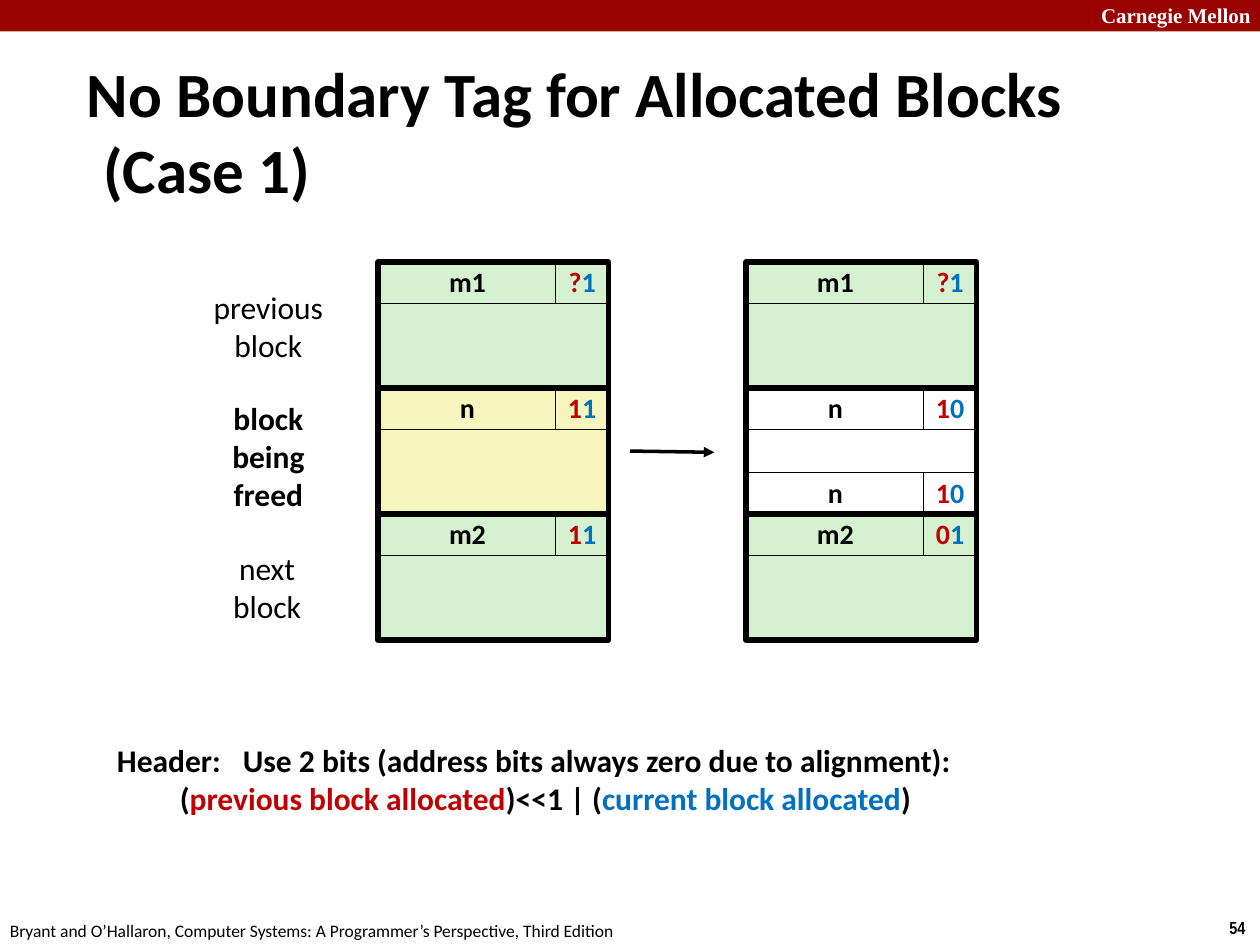
from pptx import Presentation
from pptx.dml.color import RGBColor
from pptx.enum.shapes import MSO_CONNECTOR, MSO_SHAPE
from pptx.enum.text import MSO_ANCHOR, MSO_AUTO_SIZE, PP_ALIGN
from pptx.oxml.ns import qn
from pptx.util import Inches, Pt
from lxml import etree

RECT = MSO_SHAPE.RECTANGLE
STRAIGHT = MSO_CONNECTOR.STRAIGHT
MIDDLE = MSO_ANCHOR.MIDDLE
NO_FIT = MSO_AUTO_SIZE.NONE
LEFT, CENTER = PP_ALIGN.LEFT, PP_ALIGN.CENTER

THEME = {
    "black": "000000", "white": "FFFFFF", "banner": "990000",
    "prev": "C00000", "current": "0070C0",
    "allocated": "D5F1CF", "freeing": "F6F5BD",
    "font": "Calibri", "banner_font": "Times New Roman", "number_font": "Arial Narrow",
    "title": 36, "body": 18, "cell": 16, "banner_size": 12, "footer": 10,
    "thin": 0.25, "arrow": 2, "thick": 3,
}

TITLE = "No Boundary Tag for Allocated Blocks\v(Case 1)"
BEFORE = [("m1", "?1", "allocated", False),
          ("n", "11", "freeing", False),
          ("m2", "11", "allocated", False)]
AFTER = [("m1", "?1", "allocated", False),
         ("n", "10", "white", True),
         ("m2", "01", "allocated", False)]
COLUMNS = [(3, BEFORE), (5.92, AFTER)]
ROW_LABELS = [("previous\vblock", (1.58, 2.24, 1.1, 0.71), False),
              ("block\vbeing\vfreed", (1.74, 3.12, 0.78, 1.01), True),
              ("next\vblock", (1.74, 4.31, 0.76, 0.71), False)]
HEADER_NOTE = [("Header: \tUse 2 bits (address bits always zero due to alignment):\v\t(", "black"),
               ("previous block allocated", "prev"),
               (")<<1 | (", "black"),
               ("current block allocated", "current"),
               (")", "black")]
CITATION = "Bryant and O’Hallaron, Computer Systems: A Programmer’s Perspective, Third Edition"

TOP, BLOCK_H, BLOCK_W = 2.08, 1, 1.83
CELL_H, SIZE_W, BITS_W = 0.33, 1.42, 0.42


def color(name):
    return RGBColor.from_string(THEME[name])


def write(tf, runs, size, font="font", bold=True, align=LEFT):
    p = tf.paragraphs[0]
    p.alignment = align
    p.font.size = Pt(THEME[size])
    p.font.name = THEME[font]
    p.font.bold = bold
    for text, name in runs:
        before = len(p.runs)
        p.add_run().text = text.split("\v")[0]
        for line in text.split("\v")[1:]:
            p.add_line_break()
            p.add_run().text = line
        for r in p.runs[before:]:
            r.font.color.rgb = color(name)
    return p


def add_text(s, box, runs, size, font="font", bold=True, align=LEFT, wrap=False):
    tf = s.shapes.add_textbox(*map(Inches, box)).text_frame
    tf.word_wrap = wrap
    write(tf, runs, size, font, bold, align)


def add_rect(s, box, fill=None, line="thin", runs=()):
    sp = s.shapes.add_shape(RECT, *map(Inches, box))
    sp.shadow.inherit = False
    if fill:
        sp.fill.solid()
        sp.fill.fore_color.rgb = color(fill)
    else:
        sp.fill.background()
    if line:
        sp.line.color.rgb = color("black")
        sp.line.width = Pt(THEME[line])
    else:
        sp.line.fill.background()
    if runs:
        tf = sp.text_frame
        tf.word_wrap = False
        tf.vertical_anchor = MIDDLE
        write(tf, runs, "cell", align=CENTER).line_spacing = 0.98


def add_tag(s, x, y, size, bits, fill):
    add_rect(s, (x, y, SIZE_W, CELL_H), fill, runs=[(size, "black")])
    add_rect(s, (x + BLOCK_W - BITS_W, y, BITS_W, CELL_H), fill,
             runs=[(bits[0], "prev"), (bits[1], "current")])


def add_block(s, x, y, size, bits, fill, has_footer):
    add_rect(s, (x, y + CELL_H, BLOCK_W, BLOCK_H - CELL_H), fill)
    add_tag(s, x, y, size, bits, fill)
    if has_footer:
        add_tag(s, x, y + BLOCK_H - CELL_H, size, bits, fill)
    add_rect(s, (x, y, BLOCK_W, BLOCK_H), line="thick")


def add_arrow(s, *ends):
    c = s.shapes.add_connector(STRAIGHT, *map(Inches, ends))
    c.line.color.rgb = color("black")
    c.line.width = Pt(THEME["arrow"])
    etree.SubElement(c.line._get_or_add_ln(), qn("a:tailEnd"), type="triangle")
    etree.SubElement(c._element.spPr, qn("a:effectLst"))


def add_title(s):
    sp = s.shapes.title
    sp.left, sp.top, sp.width, sp.height = map(Inches, (0.59, 0.72, 9.33, 0.63))
    tf = sp.text_frame
    tf.auto_size = NO_FIT
    tf.vertical_anchor = MIDDLE
    pPr = write(tf, [(TITLE, "black")], "title")._p.get_or_add_pPr()
    pPr.set("marL", str(Inches(0.13)))
    pPr.set("indent", str(-Inches(0.13)))


def main():
    prs = Presentation()
    prs.slide_width, prs.slide_height = Inches(10), Inches(7.5)
    s = prs.slides.add_slide(prs.slide_layouts[5])

    add_rect(s, (0, 0, 10, 0.25), "banner", line=None)
    add_text(s, (8.64, -0.03, 1.43, 0.3), [("Carnegie Mellon", "white")],
             "banner_size", "banner_font", wrap=True)
    add_text(s, (9.66, 7.23, 0.34, 0.27), [("54", "black")], "footer", "number_font")
    add_text(s, (-0.02, 7.25, 5.08, 0.27), [(CITATION, "black")], "footer", bold=False)
    add_title(s)

    for x, blocks in COLUMNS:
        for i, block in enumerate(blocks):
            add_block(s, x, TOP + i * BLOCK_H, *block)
    add_arrow(s, 5, 3.58, 5.67, 3.59)

    add_text(s, (0.83, 5.83, 7.06, 0.71), HEADER_NOTE, "body")
    for text, box, bold in ROW_LABELS:
        add_text(s, box, [(text, "black")], "body", bold=bold, align=CENTER)

    prs.save("out.pptx")


if __name__ == "__main__":
    main()
